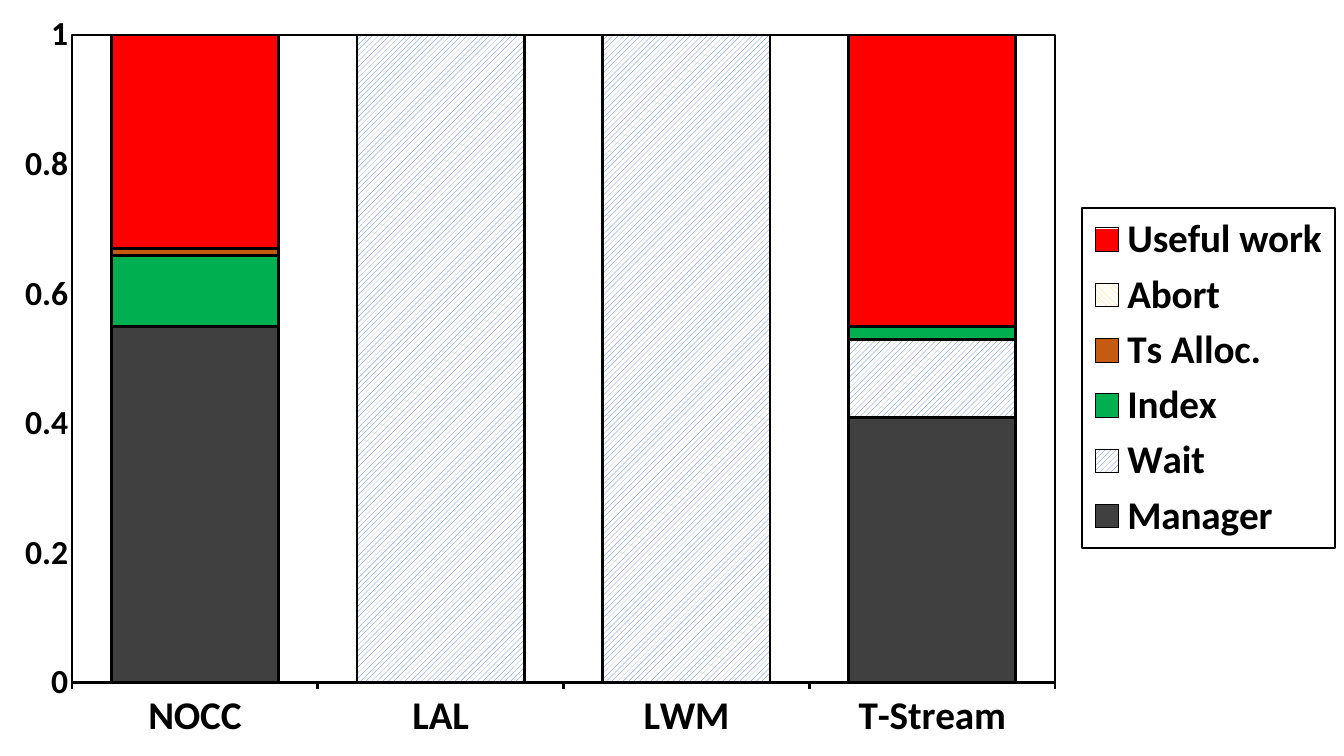
"""Build a slide with a stacked column chart of the time breakdown per scheme."""
from pptx import Presentation
from pptx.chart.data import CategoryChartData
from pptx.dml.color import RGBColor
from pptx.enum.chart import XL_CHART_TYPE, XL_LEGEND_POSITION, XL_TICK_MARK
from pptx.enum.dml import MSO_PATTERN
from pptx.oxml import parse_xml
from pptx.oxml.ns import nsdecls, qn
from pptx.util import Emu, Pt

WIDTH, HEIGHT = 1344, 756
PX = 9071
PLOT_BOX = (72, 35, 983, 648)
LEGEND_BOX = (1082, 208, 253, 340)
FONT = "Calibri"
BLACK, WHITE = "000000", "FFFFFF"
SCHEMES = ["NOCC", "LAL", "LWM", "T-Stream"]
SERIES = [
    ("Manager", (0.55, 0, 0, 0.41), "404040", None),
    ("Wait", (0, 1, 1, 0.12), "4472C4", MSO_PATTERN.WIDE_UPWARD_DIAGONAL),
    ("Index", (0.11, 0, 0, 0.02), "00B050", MSO_PATTERN.DARK_VERTICAL),
    ("Ts Alloc.", (0.01, 0, 0, 0), "C55A11", None),
    ("Abort", (0, 0, 0, 0), "FFD966", MSO_PATTERN.WIDE_DOWNWARD_DIAGONAL),
    ("Useful work", (0.33, 0, 0, 0.46), "FF0000", MSO_PATTERN.DARK_HORIZONTAL),
]


def rgb(color):
    """Turn a hex string into a colour."""
    return RGBColor.from_string(color)


def style_font(font, size, bold=True):
    """Set the chart typeface, size and weight."""
    font.name, font.size, font.bold = FONT, Pt(size), bold
    font.color.rgb = rgb(BLACK)


def style_line(line):
    """Draw a black line of two points."""
    line.color.rgb = rgb(BLACK)
    line.width = Pt(2)


def style_fill(fill, color, pattern):
    """Fill with a plain colour or with a pattern on white."""
    if pattern is None:
        fill.solid()
        fill.fore_color.rgb = rgb(color)
    else:
        fill.patterned()
        fill.pattern = pattern
        fill.fore_color.rgb = rgb(color)
        fill.back_color.rgb = rgb(WHITE)


def layout(box, inner=False):
    """Return a manual layout for a box given in px."""
    target = '<c:layoutTarget val="inner"/>' if inner else ""
    modes = "".join(f'<c:{n}Mode val="edge"/>' for n in "xy")
    sizes = (WIDTH, HEIGHT, WIDTH, HEIGHT)
    parts = "".join(f'<c:{n} val="{v / size:.4f}"/>'
                    for n, v, size in zip("xywh", box, sizes))
    return parse_xml(f'<c:layout {nsdecls("c")}><c:manualLayout>{target}'
                     f'{modes}{parts}</c:manualLayout></c:layout>')


def border():
    """Return shape properties with a black outline and no fill."""
    return parse_xml(f'<c:spPr {nsdecls("c", "a")}><a:noFill/>'
                     f'<a:ln w="{Pt(2)}"><a:solidFill><a:srgbClr val="{BLACK}"/>'
                     '</a:solidFill></a:ln></c:spPr>')


def drop_layout(element):
    """Remove an automatic layout."""
    for old in element.findall(qn("c:layout")):
        element.remove(old)


def add_breakdown(slide):
    """Add the chart over the whole slide."""
    data = CategoryChartData(number_format="General")
    data.categories = SCHEMES
    for name, values, _, _ in SERIES:
        data.add_series(name, values)
    chart = slide.shapes.add_chart(XL_CHART_TYPE.COLUMN_STACKED, 0, 0,
                                   Emu(WIDTH * PX), Emu(HEIGHT * PX), data).chart
    chart.has_title = False
    style_font(chart.font, 10, bold=False)
    plot = chart.plots[0]
    plot.gap_width, plot.overlap, plot.vary_by_categories = 47, 100, False
    for series, (_, _, color, pattern) in zip(plot.series, SERIES):
        style_fill(series.format.fill, color, pattern)
        style_line(series.format.line)
    style_axes(chart)
    style_legend(chart)
    area = chart._chartSpace.chart.plotArea
    drop_layout(area)
    area.insert(0, layout(PLOT_BOX, inner=True))
    area.append(border())


def style_axes(chart):
    """Set scale, ticks and labels of both axes."""
    cat, val = chart.category_axis, chart.value_axis
    cat.major_tick_mark = XL_TICK_MARK.OUTSIDE
    style_line(cat.format.line)
    style_font(cat.tick_labels.font, 28)
    val.minimum_scale, val.maximum_scale, val.major_unit = 0, 1, 0.2
    val.has_major_gridlines = False
    val.major_tick_mark = XL_TICK_MARK.NONE
    val.format.line.fill.background()
    val.tick_labels.number_format = "General"
    val.tick_labels.number_format_is_linked = False
    style_font(val.tick_labels.font, 24)


def style_legend(chart):
    """Place the framed legend at the right."""
    chart.has_legend = True
    legend = chart.legend
    legend.position = XL_LEGEND_POSITION.RIGHT
    legend.include_in_layout = False
    style_font(legend.font, 28)
    element = legend._element
    drop_layout(element)
    element.find(qn("c:legendPos")).addnext(layout(LEGEND_BOX))
    element.find(qn("c:overlay")).addnext(border())


def main():
    """Make the presentation and save it."""
    prs = Presentation()
    prs.slide_width, prs.slide_height = Emu(WIDTH * PX), Emu(HEIGHT * PX)
    add_breakdown(prs.slides.add_slide(prs.slide_layouts[6]))
    prs.save("out.pptx")


if __name__ == "__main__":
    main()
